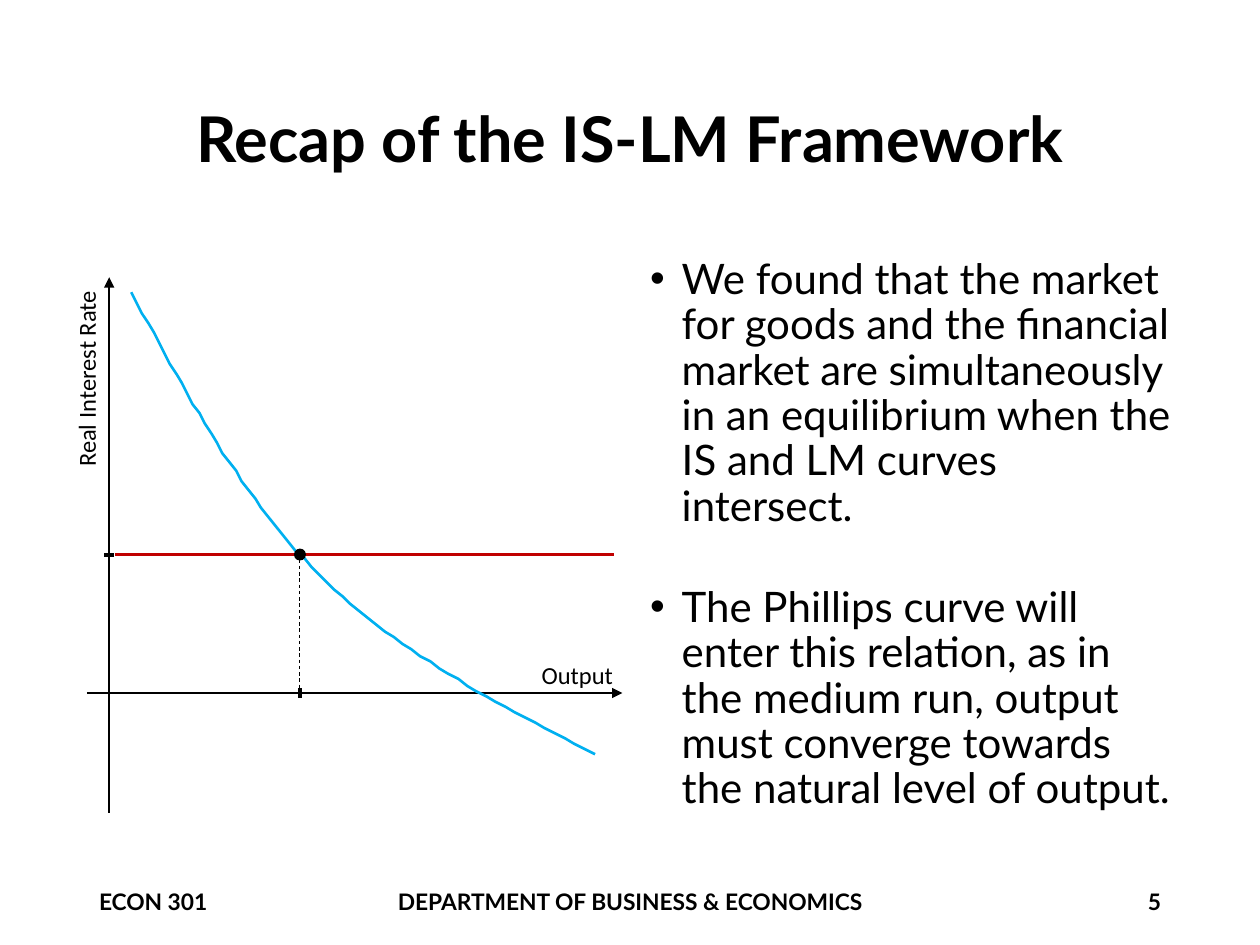
import pptx
import pptx.dml.color
import pptx.enum.dml
import pptx.enum.shapes
import pptx.enum.text
import pptx.oxml.ns
import pptx.util
from lxml import etree

Pt = pptx.util.Pt
RGBColor = pptx.dml.color.RGBColor
Align = pptx.enum.text.PP_ALIGN
Anchor = pptx.enum.text.MSO_ANCHOR
qn = pptx.oxml.ns.qn

BLACK = RGBColor(0x00, 0x00, 0x00)
LM_RED = RGBColor(0xC0, 0x00, 0x00)
IS_BLUE = RGBColor(0x00, 0xB0, 0xF0)
MAIN_FONT, LABEL_FONT = "Lato", "Calibri"

TITLE = "Recap of the IS-LM Framework"
BULLETS = [
    "We found that the market for goods and the financial market are "
    "simultaneously in an equilibrium when the IS and LM curves intersect.",
    "The Phillips curve will enter this relation, as in the medium run, "
    "output must converge towards the natural level of output.",
]
# text, left, width, alignment
FOOTERS = [
    ("ECON 301", 49.5, 162, Align.LEFT),
    ("DEPARTMENT OF BUSINESS & ECONOMICS", 133.2, 453.6, Align.CENTER),
    ("5", 508.5, 162, Align.RIGHT),
]
# text, left, top, width, rotation
AXIS_LABELS = [
    ("Output", 302.4, 373.7, 56.2, 0),
    ("Real Interest Rate", -8.6, 203.8, 115.9, 270),
]

# Diagram: the axes cross at the origin, the curves at the equilibrium
ORIGIN_X, ORIGIN_Y = 62.4, 396
EQUILIBRIUM_X, EQUILIBRIUM_Y = 171.4, 316.9
TICK = 2.7
DOT_RADIUS = 2.9
# from, to, colour, width, arrow, dashed
LINES = [
    ((65.5, EQUILIBRIUM_Y), (350.6, EQUILIBRIUM_Y), LM_RED, 1.5, False, False),
    ((49.7, ORIGIN_Y), (355.7, ORIGIN_Y), BLACK, 1.5, True, False),
    ((ORIGIN_X, 464.4), (ORIGIN_X, 158.4), BLACK, 1.5, True, False),
    ((ORIGIN_X - TICK, EQUILIBRIUM_Y), (ORIGIN_X + TICK, EQUILIBRIUM_Y),
     BLACK, 2.25, False, False),
    ((EQUILIBRIUM_X, ORIGIN_Y - TICK), (EQUILIBRIUM_X, ORIGIN_Y + TICK),
     BLACK, 2.25, False, False),
    ((EQUILIBRIUM_X, EQUILIBRIUM_Y + DOT_RADIUS), (EQUILIBRIUM_X, ORIGIN_Y),
     BLACK, 0.5, False, True),
]
# Two cubic Bezier segments, each given by four control points
IS_CURVE = [
    ((75.2, 167), (106.6, 225.4), (138.2, 284.4), (182.2, 328.3)),
    ((182.2, 328.3), (226.1, 372.2), (283, 401.8), (339.5, 430.6)),
]
CURVE_STEPS = 30


def add_text(slide, box, paragraphs, size, font=MAIN_FONT, bold=False,
             align=Align.LEFT, anchor=Anchor.TOP, wrap=True):
    shape = slide.shapes.add_textbox(*map(Pt, box))
    frame = shape.text_frame
    frame.word_wrap = wrap
    frame.vertical_anchor = anchor
    for index, text in enumerate(paragraphs):
        paragraph = frame.paragraphs[0] if index == 0 else frame.add_paragraph()
        paragraph.alignment = align
        run = paragraph.add_run()
        run.text = text
        run.font.size = Pt(size)
        run.font.name = font
        run.font.bold = bold
        run.font.color.rgb = BLACK
    return shape


def add_bullet(paragraph, indent):
    properties = paragraph._p.get_or_add_pPr()
    properties.set("marL", str(Pt(indent)))
    properties.set("indent", str(-Pt(indent)))
    etree.SubElement(properties, qn("a:buFont")).set("typeface", "Arial")
    etree.SubElement(properties, qn("a:buChar")).set("char", "•")


def add_line(slide, start, end, color, width, arrow, dashed):
    connector = slide.shapes.add_connector(
        pptx.enum.shapes.MSO_CONNECTOR.STRAIGHT, *map(Pt, start + end))
    connector.line.color.rgb = color
    connector.line.width = Pt(width)
    if dashed:
        connector.line.dash_style = pptx.enum.dml.MSO_LINE.DASH
    if arrow:
        line = connector.line._get_or_add_ln()
        etree.SubElement(line, qn("a:tailEnd")).set("type", "triangle")
    etree.SubElement(connector._element.spPr, qn("a:effectLst"))


def bezier_point(controls, t):
    weights = ((1 - t) ** 3, 3 * t * (1 - t) ** 2, 3 * t ** 2 * (1 - t), t ** 3)
    return tuple(sum(weight * point[axis]
                     for weight, point in zip(weights, controls))
                 for axis in (0, 1))


def add_is_curve(slide):
    points = [bezier_point(segment, step / CURVE_STEPS)
              for segment in IS_CURVE for step in range(1, CURVE_STEPS + 1)]
    start_x, start_y = IS_CURVE[0][0]
    builder = slide.shapes.build_freeform(start_x, start_y, scale=float(Pt(1)))
    builder.add_line_segments(points, close=False)
    curve = builder.convert_to_shape()
    curve.shadow.inherit = False
    curve.fill.background()
    curve.line.color.rgb = IS_BLUE
    curve.line.width = Pt(1.5)


def add_equilibrium_dot(slide):
    dot = slide.shapes.add_shape(
        pptx.enum.shapes.MSO_SHAPE.OVAL,
        Pt(EQUILIBRIUM_X - DOT_RADIUS), Pt(EQUILIBRIUM_Y - DOT_RADIUS),
        Pt(2 * DOT_RADIUS), Pt(2 * DOT_RADIUS))
    dot.shadow.inherit = False
    dot.fill.solid()
    dot.fill.fore_color.rgb = BLACK
    dot.line.color.rgb = BLACK
    dot.line.width = Pt(1)


def main():
    presentation = pptx.Presentation()
    presentation.slide_width, presentation.slide_height = Pt(720), Pt(540)
    slide = presentation.slides.add_slide(presentation.slide_layouts[6])

    title = add_text(slide, (49.5, 28.8, 621, 104.4), [TITLE], 36, bold=True,
                     align=Align.CENTER, anchor=Anchor.MIDDLE)
    title.text_frame.paragraphs[0].line_spacing = 0.9

    body = add_text(slide, (364.5, 144, 312.5, 342.7), BULLETS, 24)
    for index, paragraph in enumerate(body.text_frame.paragraphs):
        paragraph.line_spacing = 0.9
        if index:
            paragraph.space_before = Pt(32)
        add_bullet(paragraph, 18)

    for text, left, width, align in FOOTERS:
        add_text(slide, (left, 500.5, width, 28.8), [text], 13, bold=True,
                 align=align, anchor=Anchor.MIDDLE)

    for line in LINES:
        add_line(slide, *line)
    add_is_curve(slide)
    add_equilibrium_dot(slide)
    for text, left, top, width, rotation in AXIS_LABELS:
        label = add_text(slide, (left, top, width, 24.2), [text], 14,
                         font=LABEL_FONT, wrap=False)
        label.rotation = rotation

    presentation.save("out.pptx")


if __name__ == "__main__":
    main()
